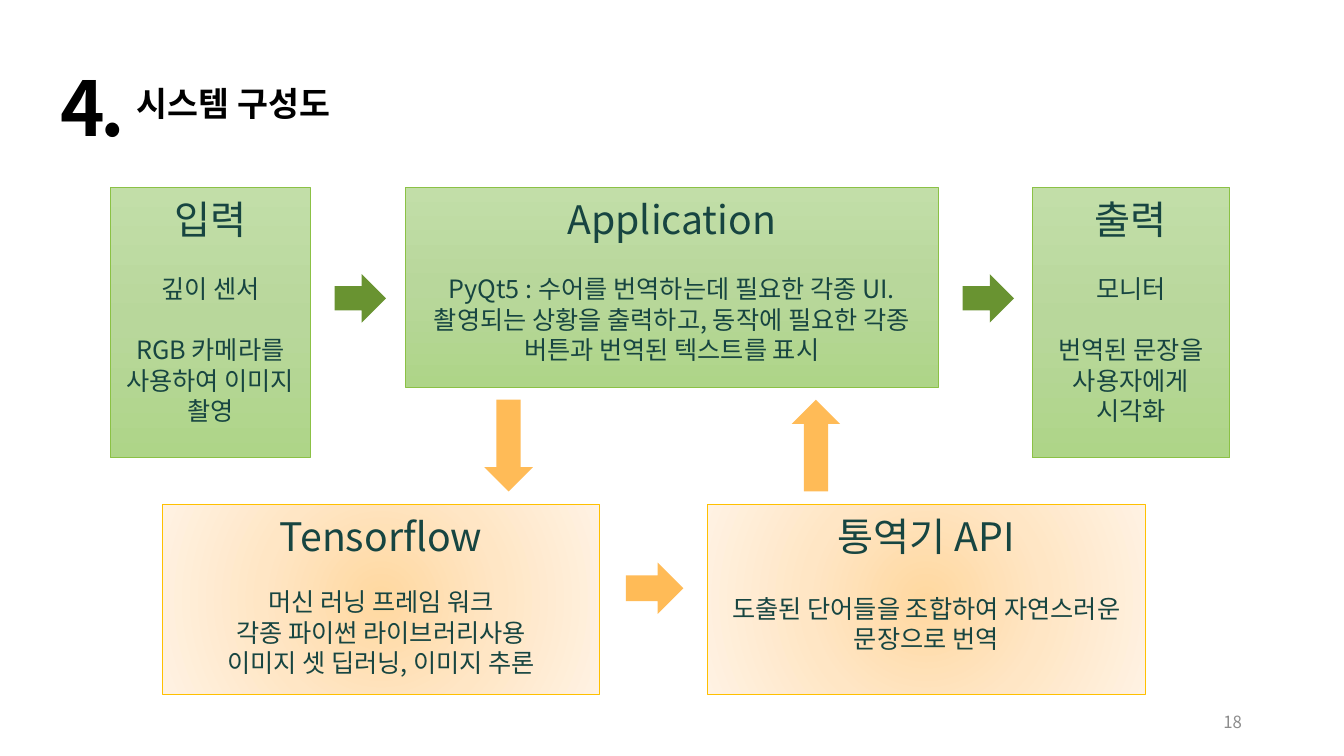
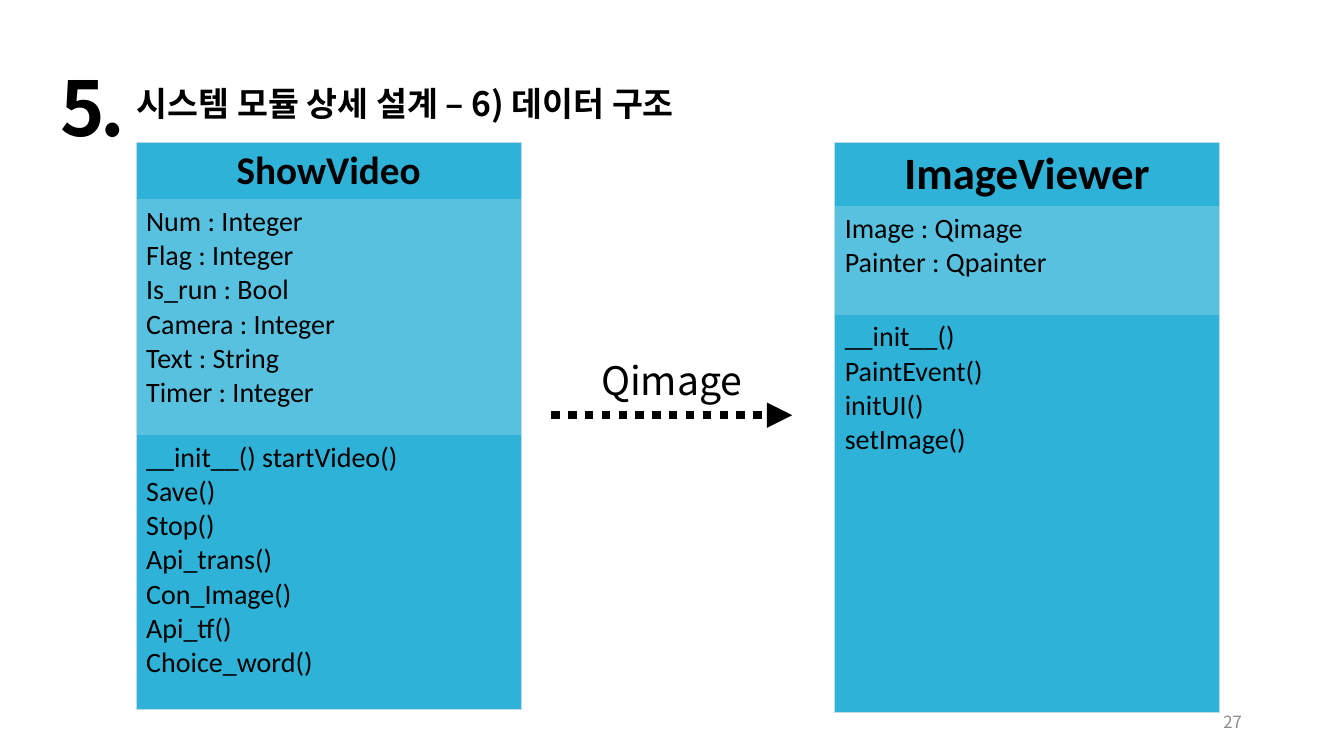
import pptx
import pptx.util
import pptx.dml.color
import pptx.enum.dml
import pptx.enum.shapes
import pptx.enum.text
import pptx.oxml
import pptx.oxml.ns
import lxml.etree

Pt = pptx.util.Pt
Color = pptx.dml.color.RGBColor
Shape = pptx.enum.shapes.MSO_SHAPE
Align = pptx.enum.text.PP_ALIGN
Anchor = pptx.enum.text.MSO_ANCHOR
qn = pptx.oxml.ns.qn

KOREAN_FONT, TABLE_FONT = "Noto Sans CJK KR", "Calibri"
LINE_HEIGHT = 1.21
BASELINE_SHIFT = 0.065
BLACK = Color(0x00, 0x00, 0x00)
GRAY = Color(0x8C, 0x8C, 0x8C)
DARK_TEAL = Color(0x17, 0x45, 0x41)
GREEN_ARROW = Color(0x69, 0x93, 0x31)
ORANGE_ARROW = Color(0xFF, 0xBB, 0x57)
BLUE = Color(0x2F, 0xB2, 0xD8)
LIGHT_BLUE = Color(0x59, 0xC1, 0xE0)
TABLE_EDGE = Color(0xBF, 0xDC, 0xE8)
GREEN = {
    "line": Color(0x8B, 0xC1, 0x45),
    "stops": [Color(0xC2, 0xDE, 0xA8), Color(0xB8, 0xD7, 0x9B), Color(0xAE, 0xD5, 0x88)],
    "direction": '<a:lin ang="5400000" scaled="0"/>',
}
ORANGE = {
    "line": Color(0xFF, 0xC0, 0x00),
    "stops": [Color(0xFF, 0xD8, 0xA0), Color(0xFF, 0xE6, 0xC5), Color(0xFF, 0xF2, 0xE3)],
    "direction": '<a:path path="circle"><a:fillToRect l="50000" t="50000" '
                 'r="50000" b="50000"/></a:path>',
}

# Each body line is (text, gap before in points).
MODULES = [
    ((78.5, 134, 143.3, 193), GREEN, "입력",
     [("깊이 센서", 21.8), ("RGB 카메라를 사용하여 이미지 촬영", 21.8)]),
    ((289.4, 134, 380.9, 142.6), GREEN, "Application",
     [("PyQt5 : 수어를 번역하는데 필요한 각종 UI. 촬영되는 상황을 출력하고, "
       "동작에 필요한 각종 버튼과 번역된 텍스트를 표시", 21.8)]),
    ((737.3, 134, 141.1, 193), GREEN, "출력",
     [("모니터", 21.8), ("번역된 문장을 사용자에게", 21.8), ("시각화", 0)]),
    ((115.9, 360, 312.5, 136.1), ORANGE, "Tensorflow",
     [("머신 러닝 프레임 워크", 19.4), ("각종 파이썬 라이브러리사용", 0),
      ("이미지 셋 딥러닝, 이미지 추론", 0)]),
    ((505.4, 360, 312.5, 136.1), ORANGE, "통역기 API",
     [("도출된 단어들을 조합하여 자연스러운 문장으로 번역", 24.2)]),
]
FLOW_ARROWS = [
    (Shape.RIGHT_ARROW, (239, 195.8, 36.7, 34.6), GREEN_ARROW),
    (Shape.RIGHT_ARROW, (687.6, 195.8, 36.7, 34.6), GREEN_ARROW),
    (Shape.DOWN_ARROW, (346, 285.5, 34.6, 65.5), ORANGE_ARROW),
    (Shape.RIGHT_ARROW, (447.1, 401.8, 41, 36.7), ORANGE_ARROW),
    (Shape.UP_ARROW, (565.5, 285.5, 34.6, 65.5), ORANGE_ARROW),
]
CLASSES = [
    {"left": 97.2, "name": "ShowVideo", "size": 28, "rows": [41, 168.5, 196],
     "fields": ["Num : Integer", "Flag : Integer", "Is_run : Bool", "Camera : Integer",
                "Text : String", "Timer : Integer"],
     "methods": ["__init__() startVideo()", "Save()", "Stop()", "Api_trans()",
                 "Con_Image()", "Api_tf()", "Choice_word()"]},
    {"left": 596.2, "name": "ImageViewer", "size": 32, "rows": [46, 77.5, 283.7],
     "fields": ["Image : Qimage", "Painter : Qpainter"],
     "methods": ["__init__()", "PaintEvent()", "initUI()", "setImage()"]},
]
CLASS_TOP, CLASS_WIDTH = 101.5, 275
NO_GRID_STYLE = "{2D5ABB26-0587-4C30-8999-92F81FD0307C}"


def points(lengths):
    return [Pt(length) for length in lengths]


def drawing_xml(tag, content="", attributes=""):
    namespace = pptx.oxml.ns.nsdecls("a")
    return pptx.oxml.parse_xml(f"<a:{tag} {namespace} {attributes}>{content}</a:{tag}>")


def add_run(para, text, size, color, bold=False, name=KOREAN_FONT):
    span = para.add_run()
    span.text = text
    font = span.font
    font.size, font.bold, font.name, font.color.rgb = Pt(size), bold, name, color
    span._r.get_or_add_rPr().append(drawing_xml("ea", attributes=f'typeface="{name}"'))
    return span


def write_lines(frame, lines, color, align=Align.LEFT, bold=False):
    """Fill a frame with (text, size, gap before) lines at a fixed line height."""
    frame.word_wrap = True
    frame.margin_top = Pt(3.6 + BASELINE_SHIFT * lines[0][1])
    for index, (text, size, gap) in enumerate(lines):
        para = frame.add_paragraph() if index else frame.paragraphs[0]
        para.alignment = align
        para.line_spacing = Pt(round(size * LINE_HEIGHT, 1))
        if gap:
            para.space_before = Pt(gap)
        span = add_run(para, text, size, color, bold)
    return span


def add_text(page, place, text, size, color=BLACK, **style):
    box = page.shapes.add_textbox(*points(place))
    return box.text_frame, write_lines(box.text_frame, [(text, size, 0)], color, **style)


def add_page(deck, number, title, page_number):
    page = deck.slides.add_slide(deck.slide_layouts[6])
    add_text(page, (90.7, 54, 570, 36), title, 24, bold=True)
    span = add_text(page, (36, 36, 80.6, 72.7), number, 54, bold=True)[1]
    span._r.get_or_add_rPr().set("spc", "-300")
    frame = add_text(page, (678.2, 500.4, 216, 28.8), page_number, 12, GRAY,
                     align=Align.RIGHT)[0]
    frame.vertical_anchor = Anchor.MIDDLE
    return page


def set_gradient(shape, theme):
    stops = "".join(
        f'<a:gs pos="{index * 50000}"><a:srgbClr val="{color}"/></a:gs>'
        for index, color in enumerate(theme["stops"]))
    gradient = drawing_xml("gradFill", f"<a:gsLst>{stops}</a:gsLst>{theme['direction']}")
    shape.fill.background()
    properties = shape.element.spPr
    properties.replace(properties.find(qn("a:noFill")), gradient)


def add_module(page, place, theme, heading, body):
    box = page.shapes.add_shape(Shape.RECTANGLE, *points(place))
    box.shadow.inherit = False
    set_gradient(box, theme)
    box.line.color.rgb, box.line.width = theme["line"], Pt(0.5)
    box.text_frame.vertical_anchor = Anchor.TOP
    lines = [(heading, 28, 0)] + [(text, 18, gap) for text, gap in body]
    write_lines(box.text_frame, lines, DARK_TEAL, Align.CENTER)


def add_flow_arrow(page, kind, place, color):
    arrow = page.shapes.add_shape(kind, *points(place))
    arrow.shadow.inherit = False
    arrow.fill.solid()
    arrow.fill.fore_color.rgb = color
    arrow.line.fill.background()


def set_cell_edges(cell, sides):
    properties = cell._tc.get_or_add_tcPr()
    edge = f'<a:solidFill><a:srgbClr val="{TABLE_EDGE}"/></a:solidFill>'
    for index, side in enumerate(sides):
        properties.insert(index, drawing_xml(f"ln{side}", edge, f'w="{Pt(0.5)}"'))


def add_class_table(page, item):
    place = (item["left"], CLASS_TOP, CLASS_WIDTH, sum(item["rows"]))
    table = page.shapes.add_table(3, 1, *points(place)).table
    table._tbl.tblPr.find(qn("a:tableStyleId")).text = NO_GRID_STYLE
    sections = [
        ([item["name"]], item["size"], BLUE, "LRT"),
        (item["fields"], 20, LIGHT_BLUE, "LR"),
        (item["methods"], 20, BLUE, "LRB"),
    ]
    for index, (lines, size, fill, sides) in enumerate(sections):
        table.rows[index].height = Pt(item["rows"][index])
        cell = table.cell(index, 0)
        cell.fill.solid()
        cell.fill.fore_color.rgb = fill
        set_cell_edges(cell, sides)
        is_heading = index == 0
        for number, text in enumerate(lines):
            frame = cell.text_frame
            para = frame.add_paragraph() if number else frame.paragraphs[0]
            para.alignment = Align.CENTER if is_heading else Align.LEFT
            add_run(para, text, size, BLACK, is_heading, TABLE_FONT)


def add_dotted_arrow(page, start, end):
    link = page.shapes.add_connector(pptx.enum.shapes.MSO_CONNECTOR.STRAIGHT,
                                     *points(start + end))
    link.line.color.rgb, link.line.width = BLACK, Pt(6)
    link.line.dash_style = pptx.enum.dml.MSO_LINE.ROUND_DOT
    link.line._get_or_add_ln().append(drawing_xml("tailEnd", attributes='type="triangle"'))
    link._element.spPr.append(drawing_xml("effectLst"))


def main():
    deck = pptx.Presentation()
    deck.slide_width, deck.slide_height = Pt(960), Pt(540)

    page = add_page(deck, "4.", "시스템 구성도", "18")
    for module in MODULES:
        add_module(page, *module)
    for arrow in FLOW_ARROWS:
        add_flow_arrow(page, *arrow)

    page = add_page(deck, "5.", "시스템 모듈 상세 설계 – 6) 데이터 구조", "27")
    for item in CLASSES:
        add_class_table(page, item)
    add_dotted_arrow(page, (393.8, 296.6), (565.9, 296.6))
    add_text(page, (385.9, 249.1, 187.9, 41), "Qimage", 28, align=Align.CENTER)

    deck.save("out.pptx")


if __name__ == "__main__":
    main()
